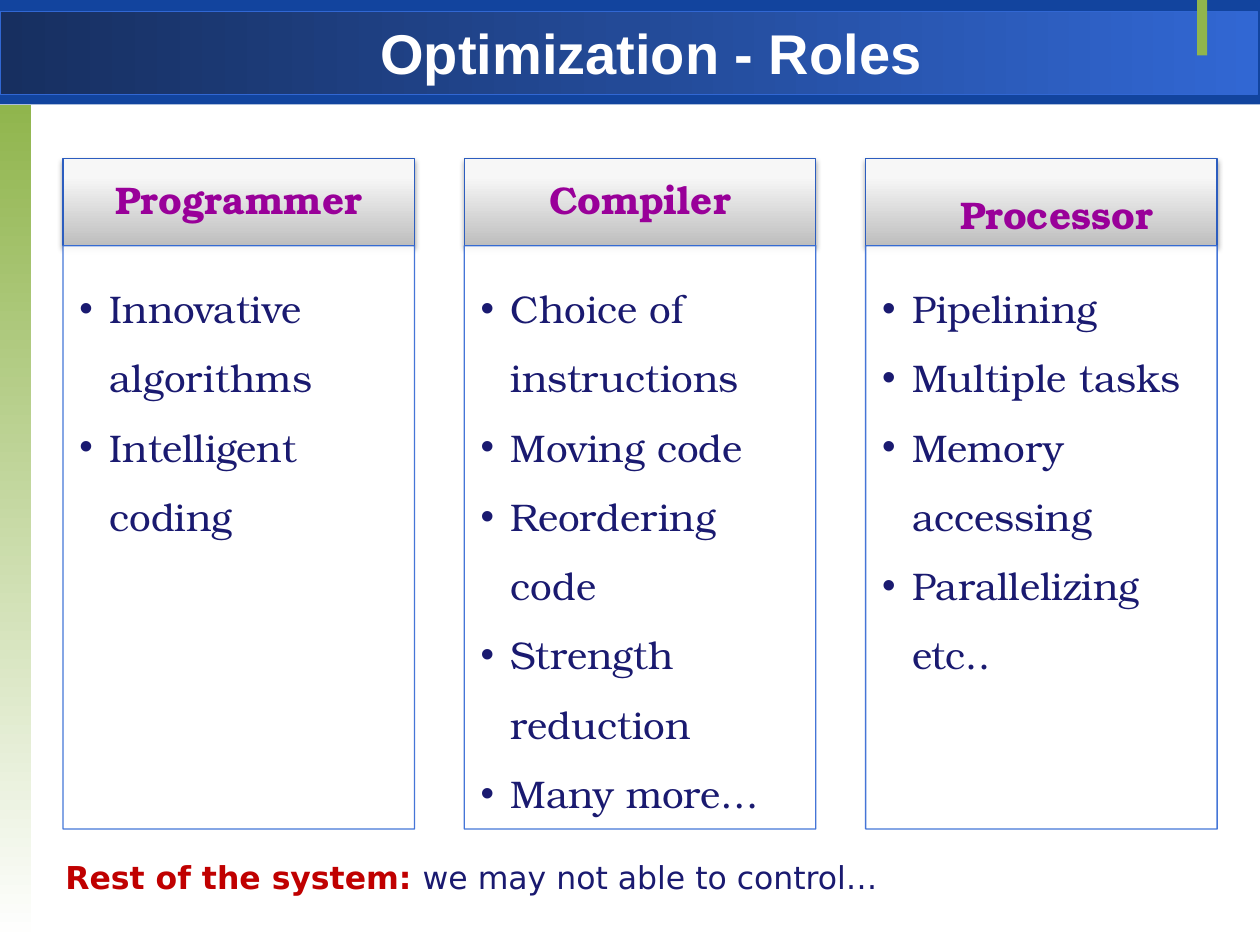
"""Build the "Optimization - Roles" slide with three role columns."""
import lxml.etree
import pptx
import pptx.dml.color
import pptx.enum.shapes
import pptx.enum.text
import pptx.oxml.ns
import pptx.util

color = pptx.dml.color.RGBColor.from_string
qn = pptx.oxml.ns.qn
align = pptx.enum.text.PP_ALIGN
anchor = pptx.enum.text.MSO_ANCHOR

presentation = pptx.Presentation()
presentation.slide_width = pptx.util.Inches(10)
presentation.slide_height = pptx.util.Inches(7.5)
column = presentation.slide_width / 100
row = presentation.slide_height / 75
slide = presentation.slides.add_slide(presentation.slide_layouts[6])


def add_box(left, top, width, height, stops, angle=0, line=None):
    """Add a rectangle with a solid fill or a gradient of (position, colour) stops."""
    shape = slide.shapes.add_shape(
        pptx.enum.shapes.MSO_SHAPE.RECTANGLE,
        int(left * column), int(top * row), int(width * column), int(height * row))
    shape.shadow.inherit = False
    if len(stops) == 1:
        shape.fill.solid()
        shape.fill.fore_color.rgb = color(stops[0][1])
    else:
        shape.fill.gradient()
        shape.fill.gradient_angle = (360 - angle) % 360
        stop_list = shape.element.spPr.find(".//" + qn("a:gsLst"))
        for old_stop in list(stop_list):
            stop_list.remove(old_stop)
        for position, value in stops:
            stop = lxml.etree.SubElement(stop_list, qn("a:gs"), pos=str(position * 1000))
            lxml.etree.SubElement(stop, qn("a:srgbClr"), val=value)
    if line:
        shape.line.color.rgb = color(line)
        shape.line.width = pptx.util.Pt(0.75)
    else:
        shape.line.fill.background()
    return shape


def add_run(paragraph, text, font, size, value, bold=False):
    """Add one styled run to a paragraph."""
    run = paragraph.add_run()
    run.text = text
    run.font.name = font
    run.font.size = pptx.util.Pt(size)
    run.font.color.rgb = color(value)
    run.font.bold = bold


add_box(0, 0, 100, 8.3, [(0, "12449E")])
add_box(0, 0.9, 99.8, 6.6, [(0, "172F60"), (50, "234A97"), (100, "3167D3")], 0, "3167D3")
add_box(0, 8.3, 2.5, 66.4, [(0, "90B54D"), (100, "FFFFFF")], 90)
add_box(95, 0, 0.8, 4.4, [(0, "90B54D")])

title = slide.shapes.add_textbox(
    int(14.2 * column), int(0.5 * row), int(75 * column), int(5.8 * row))
title.text_frame.word_wrap = True
title.text_frame.margin_top = int(row)
paragraph = title.text_frame.paragraphs[0]
paragraph.alignment = align.CENTER
add_run(paragraph, "Optimization - Roles", "Arial", 32, "FFFFFF", True)

roles = [
    ("Programmer", 0.9, 0, ["Innovative algorithms", "Intelligent coding"]),
    ("Compiler", 0.9, 0, ["Choice of instructions", "Moving code", "Reordering code",
                          "Strength reduction", "Many more…"]),
    ("Processor", 1.5, 2.4, ["Pipelining", "Multiple tasks", "Memory accessing",
                             "Parallelizing etc.."]),
]
for index, (role, spacing, indent, tasks) in enumerate(roles):
    left = 5 + index * 31.85

    header = add_box(left, 12.6, 27.9, 6.9,
                     [(0, "BEBEBE"), (80, "F7F7F7"), (100, "F8F8F8")], 270, "2C5DBF")
    shadow = lxml.etree.SubElement(
        header.element.spPr.find(qn("a:effectLst")), qn("a:outerShdw"),
        blurRad=str(pptx.util.Pt(3.1)), dist=str(pptx.util.Pt(1.8)),
        dir="5400000", rotWithShape="0")
    shade = lxml.etree.SubElement(shadow, qn("a:srgbClr"), val="000000")
    lxml.etree.SubElement(shade, qn("a:alpha"), val="35000")
    frame = header.text_frame
    frame.word_wrap = True
    frame.vertical_anchor = anchor.MIDDLE
    frame.margin_left = frame.margin_right = int(1.7 * column)
    frame.margin_top = frame.margin_bottom = int(row)
    paragraph = frame.paragraphs[0]
    paragraph.alignment = align.CENTER
    paragraph.line_spacing = spacing
    paragraph._p.get_or_add_pPr().set("marL", str(int(indent * column)))
    add_run(paragraph, role, "TeX Gyre Bonum", 22, "990099", True)

    body = add_box(left, 19.5, 27.9, 46.3, [(0, "FFFFFF")], 0, "3167D3")
    for paint in body.element.spPr.iter(qn("a:srgbClr")):
        lxml.etree.SubElement(paint, qn("a:alpha"), val="90000")
    frame = body.text_frame
    frame.word_wrap = True
    frame.vertical_anchor = anchor.TOP
    frame.margin_left = int(1.3 * column)
    frame.margin_right = int(1.7 * column)
    frame.margin_top = int(1.3 * row)
    frame.margin_bottom = int(1.9 * row)
    for number, task in enumerate(tasks):
        paragraph = frame.add_paragraph() if number else frame.paragraphs[0]
        paragraph.alignment = align.LEFT
        paragraph.level = 1
        paragraph.line_spacing = 1.5
        properties = paragraph._p.get_or_add_pPr()
        properties.set("marL", str(int(2.4 * column)))
        properties.set("indent", str(int(-2.4 * column)))
        lxml.etree.SubElement(properties, qn("a:buFont"), typeface="Arial")
        lxml.etree.SubElement(properties, qn("a:buChar"), char="•")
        add_run(paragraph, task, "TeX Gyre Bonum", 22, "1A1A70")

note = slide.shapes.add_textbox(
    int(4.2 * column), int(67.6 * row), int(67.5 * column), int(4 * row))
note.text_frame.word_wrap = False
note.text_frame.auto_size = pptx.enum.text.MSO_AUTO_SIZE.SHAPE_TO_FIT_TEXT
paragraph = note.text_frame.paragraphs[0]
add_run(paragraph, "Rest of the system: ", "DejaVu Sans", 18, "C00000", True)
add_run(paragraph, "we may not able to control…", "DejaVu Sans", 18, "1A1A70")

presentation.save("out.pptx")
